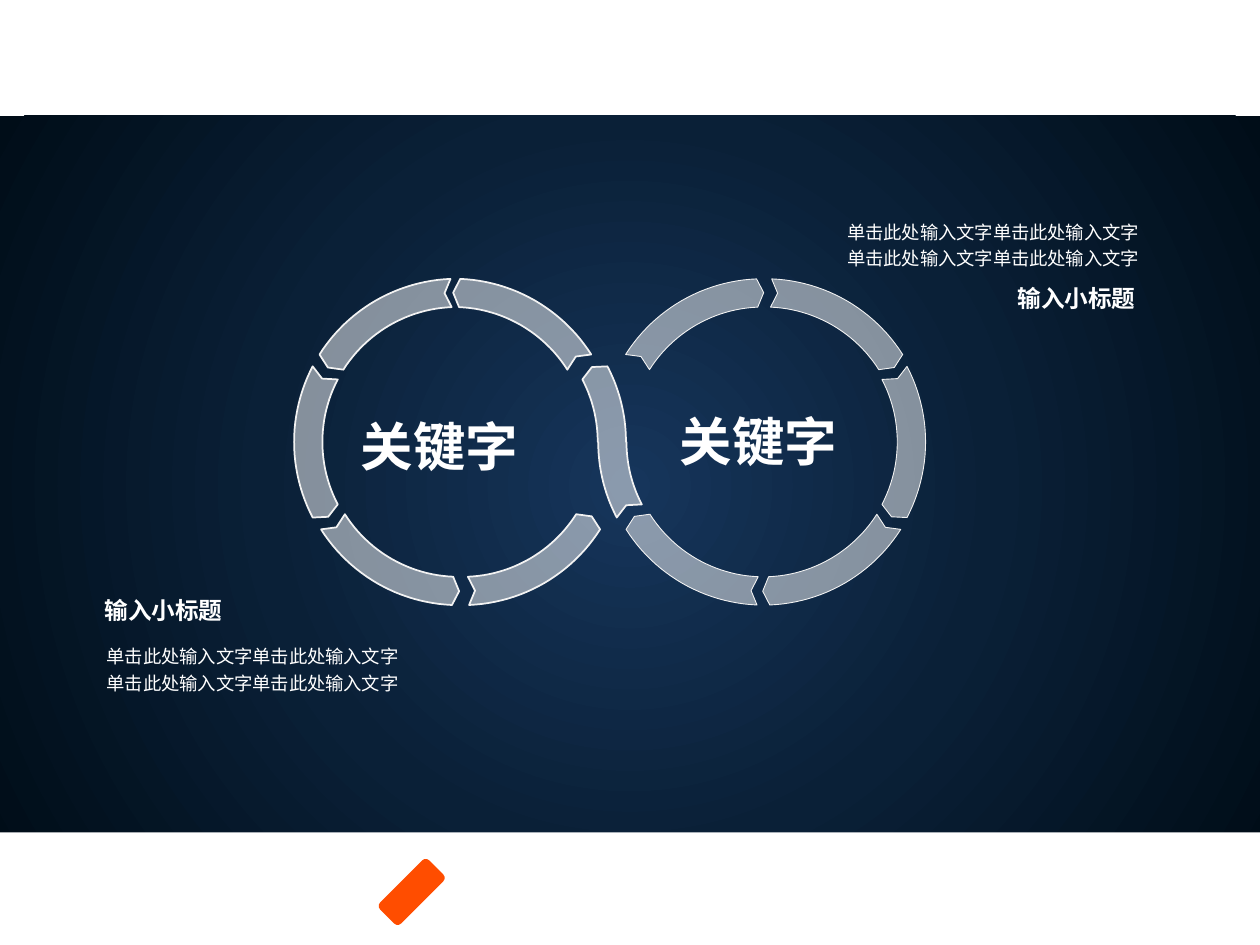
from dataclasses import dataclass
from math import cos, radians, sin

from lxml import etree
from pptx import Presentation
from pptx import util as u
from pptx.dml.color import RGBColor
from pptx.enum import shapes, text
from pptx.oxml import parse_xml
from pptx.oxml.ns import nsdecls, qn

COLORS = {
    "white": "FFFFFF",
    "outline": "F2F2F2",
    "glow": "16355B",
    "navy": "0A2037",
    "night": "000D18",
    "orange": "FF4D00",
}
FONT = "Noto Sans CJK SC"

# Ring geometry, in centimetres and degrees (clockwise from the right)
CENTER_Y = 8.91
OUTER, MIDDLE, INNER = 3.29, 3.01, 2.72
GAP_START, GAP_END, POINT = 27.6, 32.4, 2.5
LINK_LEFT, LINK_RIGHT = 9.33, 15.35

Point = tuple[float, float]


@dataclass
class Segment:
    """Arc arrow in one of six slots; the right ring mirrors the left."""
    center_x: float
    slot: int
    mirror: int
    line_pt: float


@dataclass
class Label:
    lines: list[str]
    left: float
    top: float
    width: float
    height: float
    size: float
    bold: bool = False
    align: text.PP_ALIGN = text.PP_ALIGN.LEFT
    spacing: float = 1.2
    fitted: bool = True


SEGMENTS = [
    Segment(center, slot, mirror, line_pt)
    for mirror, line_pt, centers in (
        (1, 1, (9.32, 9.25, 9.22, 9.22, 9.14)),
        (-1, 0.5, (15.40, 15.38, 15.37, 15.42, 15.39)),
    )
    for slot, center in enumerate(centers, start=1)
]

KEYWORD, SUBTITLE = "关键字", "输入小标题"
BODY = ["单击此处输入文字单击此处输入文字"] * 2
RIGHT, CENTER = text.PP_ALIGN.RIGHT, text.PP_ALIGN.CENTER
LABELS = [
    Label([KEYWORD], 6.12, 8.23, 5.49, 1.55, 30, True, CENTER, 1),
    Label([KEYWORD], 12.55, 8.13, 5.49, 1.55, 30, True, CENTER, 1),
    Label(BODY, 1.9, 12.8, 7.65, 1.35, 10.5),
    Label([SUBTITLE], 2.11, 11.79, 6.3, 0.91, 13.5, True, fitted=False),
    Label(BODY, 15.62, 4.24, 7.6, 1.35, 10.5, align=RIGHT),
    Label([SUBTITLE], 16.59, 5.49, 6.3, 0.91, 13.5, True, RIGHT, fitted=False),
]


def rgb(name: str) -> RGBColor:
    return RGBColor.from_string(COLORS[name])


def arc(center_x: float, radius: float, start: float, end: float,
        mirror: int = 1, steps: int = 24) -> list[Point]:
    angles = [radians(start + (end - start) * i / steps) for i in range(steps + 1)]
    return [(center_x + mirror * radius * cos(a), CENTER_Y + radius * sin(a))
            for a in angles]


def ring_point(center_x: float, angle: float, mirror: int = 1) -> Point:
    return arc(center_x, MIDDLE, angle, angle, mirror, 1)[0]


def draw_outline(slide, points: list[Point], line_pt: float) -> None:
    corners = [(u.Cm(x), u.Cm(y)) for x, y in points]
    builder = slide.shapes.build_freeform(*corners[0])
    builder.add_line_segments(corners[1:], close=True)
    arrow = builder.convert_to_shape()
    arrow.shadow.inherit = False
    arrow.fill.solid()
    arrow.fill.fore_color.rgb = rgb("white")
    tint = arrow._element.spPr.find(qn("a:solidFill"))[0]
    etree.SubElement(tint, qn("a:alpha"), val="50000")
    arrow.line.color.rgb = rgb("outline")
    arrow.line.width = u.Pt(line_pt)


def draw_segment(slide, segment: Segment) -> None:
    center, mirror = segment.center_x, segment.mirror
    start = segment.slot * 60 + GAP_START
    end = (segment.slot - 1) * 60 + GAP_END
    draw_outline(slide, [
        *arc(center, OUTER, start, end, mirror),
        ring_point(center, end - POINT, mirror),
        *arc(center, INNER, end, start, mirror),
        ring_point(center, start - POINT, mirror),
    ], segment.line_pt)


def draw_link(slide) -> None:
    """S-shaped arrow that passes from the right ring to the left one."""
    low = 180 - GAP_START
    draw_outline(slide, [
        *arc(LINK_LEFT, OUTER, -GAP_START, 0),
        *arc(LINK_RIGHT, INNER, 180, low),
        ring_point(LINK_RIGHT, low + POINT),
        *arc(LINK_RIGHT, OUTER, low, 180),
        *arc(LINK_LEFT, INNER, 0, -GAP_START),
        ring_point(LINK_LEFT, -GAP_START - POINT),
    ], 1)


def draw_block(slide, kind, left: float, top: float, width: float,
               height: float, color: str):
    block = slide.shapes.add_shape(
        kind, u.Cm(left), u.Cm(top), u.Cm(width), u.Cm(height))
    block.shadow.inherit = False
    block.fill.solid()
    block.fill.fore_color.rgb = rgb(color)
    block.line.fill.background()
    return block


def add_radial_glow(block) -> None:
    stops = "".join(
        f'<a:gs pos="{pos}"><a:srgbClr val="{COLORS[name]}"/></a:gs>'
        for pos, name in ((0, "glow"), (50000, "navy"), (100000, "night")))
    glow = parse_xml(
        f'<a:gradFill {nsdecls("a")} rotWithShape="1"><a:gsLst>{stops}</a:gsLst>'
        '<a:path path="circle"><a:fillToRect l="50000" t="50000" r="50000" '
        'b="50000"/></a:path></a:gradFill>')
    properties = block._element.spPr
    properties.replace(properties.find(qn("a:solidFill")), glow)


def draw_label(slide, label: Label) -> None:
    box = slide.shapes.add_textbox(u.Cm(label.left), u.Cm(label.top),
                                   u.Cm(label.width), u.Cm(label.height))
    frame = box.text_frame
    frame.word_wrap = True
    if label.fitted:
        frame.auto_size = text.MSO_AUTO_SIZE.SHAPE_TO_FIT_TEXT
    else:
        frame.vertical_anchor = text.MSO_ANCHOR.MIDDLE
        frame.margin_left = frame.margin_right = 0
        frame.margin_top = frame.margin_bottom = 0
    frame.text = "\n".join(label.lines)
    for paragraph in frame.paragraphs:
        paragraph.alignment = label.align
        paragraph.line_spacing = label.spacing
        for run in paragraph.runs:
            run.font.size = u.Pt(label.size)
            run.font.bold = label.bold
            run.font.color.rgb = rgb("white")
            run.font.name = FONT
            etree.SubElement(run.font._element, qn("a:ea"), typeface=FONT)


def main() -> None:
    deck = Presentation()
    deck.slide_width, deck.slide_height = u.Cm(25.4), u.Cm(19.05)
    slide = deck.slides.add_slide(deck.slide_layouts[6])

    # Night-blue panel, white footer and orange badge
    kinds = shapes.MSO_SHAPE
    panel = draw_block(slide, kinds.RECTANGLE, -0.05, 2.33, 25.5, 14.94, "night")
    add_radial_glow(panel)
    draw_block(slide, kinds.RECTANGLE, -0.03, 16.78, 25.53, 2.27, "white")
    badge = draw_block(slide, kinds.ROUNDED_RECTANGLE, 7.6, 17.68, 1.4, 0.6, "orange")
    badge.rotation = -45

    # Two rings joined in a figure of eight
    for segment in SEGMENTS:
        draw_segment(slide, segment)
    draw_link(slide)

    # Keywords, subtitles and body text
    for label in LABELS:
        draw_label(slide, label)

    deck.save("out.pptx")


if __name__ == "__main__":
    main()
